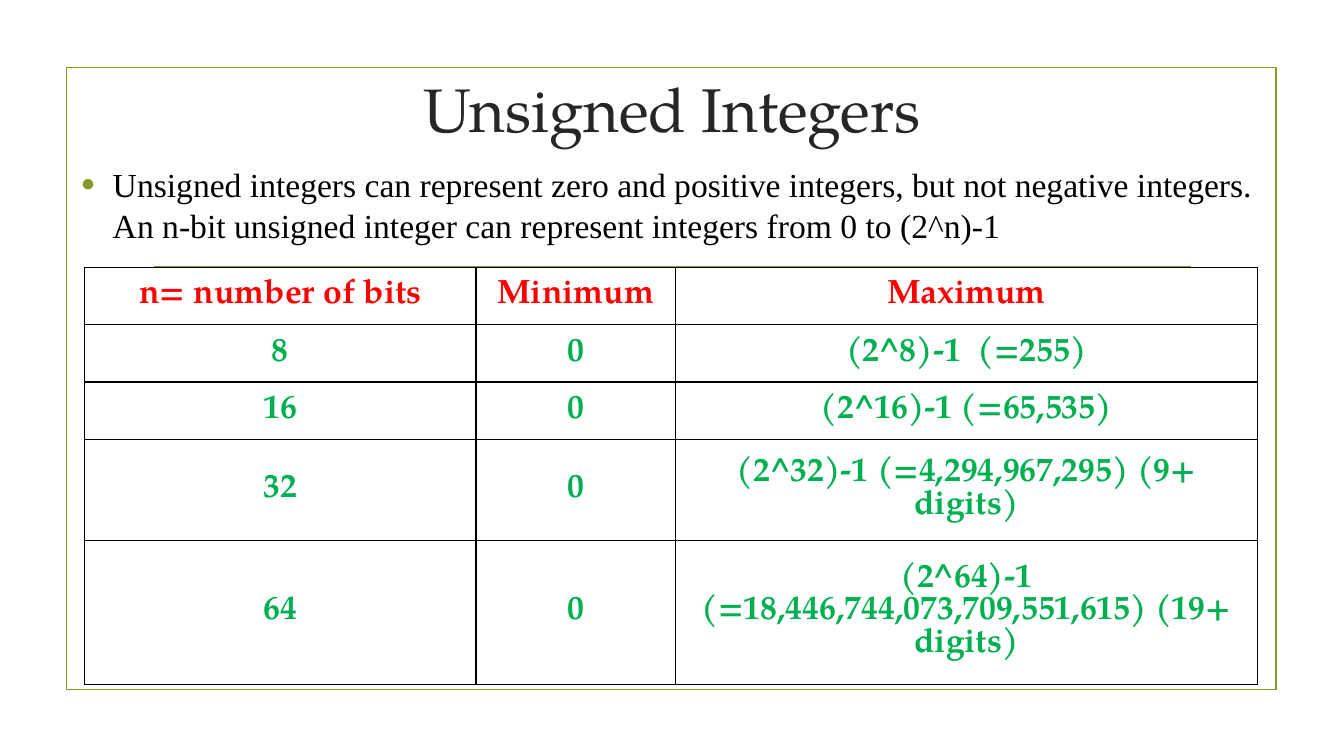
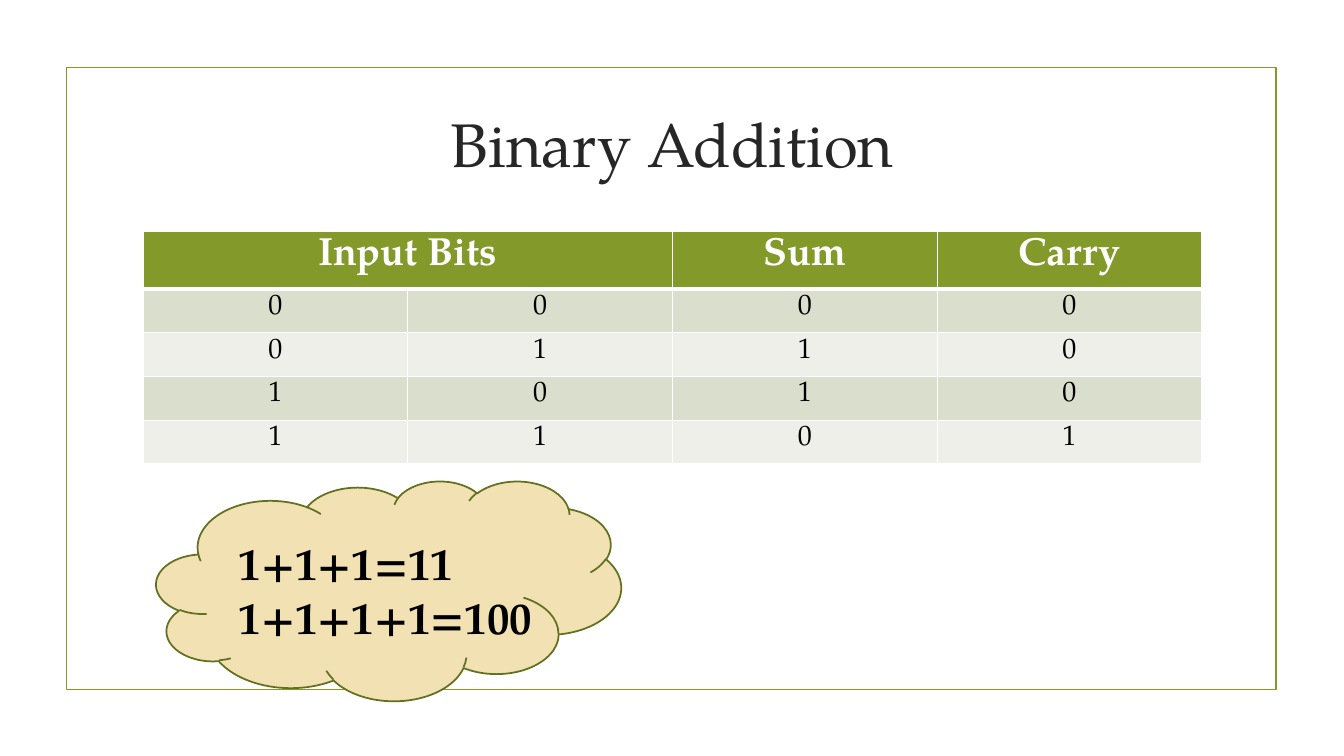
import pptx
import pptx.util
import pptx.dml.color
import pptx.enum.shapes
import pptx.enum.text
import pptx.oxml.ns
import lxml.etree

Inches = pptx.util.Inches
Pt = pptx.util.Pt
ALIGN = pptx.enum.text.PP_ALIGN
ANCHOR = pptx.enum.text.MSO_ANCHOR
SHAPES = pptx.enum.shapes.MSO_SHAPE

COLORS = {
    "accent": "83992A", "title": "262626", "text": "000000", "white": "FFFFFF",
    "heading": "FF0000", "value": "00B050", "band_dark": "D9DECD",
    "band_light": "EDEFE8", "cloud": "F2E1B3", "cloud_line": "61711F",
}
SERIF = "TeX Gyre Pagella"
BODY_FONT = "Times New Roman"

UNSIGNED_TITLE = "Unsigned Integers"
UNSIGNED_TEXT = (
    "Unsigned integers can represent zero and positive integers, but not negative "
    "integers. An n-bit unsigned integer can represent integers from 0 to (2^n)-1"
)
RANGE_ROWS = [
    ("n= number of bits", "Minimum", "Maximum"),
    ("8", "0", "(2^8)-1 \u00a0(=255)"),
    ("16", "0", "(2^16)-1 (=65,535)"),
    ("32", "0", "(2^32)-1 (=4,294,967,295) (9+ digits)"),
    ("64", "0", "(2^64)-1 (=18,446,744,073,709,551,615) (19+ digits)"),
]
RANGE_WIDTHS = [3.88, 1.98, 5.77]
RANGE_HEIGHTS = [0.57, 0.57, 0.57, 1, 1.43]

ADDITION_TITLE = "Binary Addition"
ADDITION_ROWS = [
    ("Input Bits", "", "Sum", "Carry"),
    ("0", "0", "0", "0"),
    ("0", "1", "1", "0"),
    ("1", "0", "1", "0"),
    ("1", "1", "0", "1"),
]
ADDITION_WIDTHS = [10.5 / 4] * 4
ADDITION_HEIGHTS = [0.41] * 5
CLOUD_LINES = ["1+1+1=11", "1+1+1+1=100"]


def rgb(name):
    return pptx.dml.color.RGBColor.from_string(COLORS[name])


def add_run(paragraph, text, size, color, font=SERIF, bold=False):
    run = paragraph.add_run()
    run.text = text
    run.font.size = Pt(size)
    run.font.name = font
    run.font.bold = bold
    run.font.color.rgb = rgb(color)


def add_text_frame(slide, left, top, width, height):
    box = slide.shapes.add_textbox(Inches(left), Inches(top), Inches(width), Inches(height))
    box.text_frame.word_wrap = True
    return box.text_frame


def add_shape(slide, kind, box, line, fill=None):
    shape = slide.shapes.add_shape(kind, *[Inches(length) for length in box])
    shape.shadow.inherit = False
    if fill:
        shape.fill.solid()
        shape.fill.fore_color.rgb = rgb(fill)
    else:
        shape.fill.background()
    shape.line.color.rgb = rgb(line)
    shape.line.width = Pt(1.25)


def add_element(parent, tag, **attributes):
    return lxml.etree.SubElement(parent, pptx.oxml.ns.qn(tag), **attributes)


def add_base_slide(presentation, title, title_top):
    slide = presentation.slides.add_slide(presentation.slide_layouts[6])
    add_shape(slide, SHAPES.RECTANGLE, (0.66, 0.67, 12, 6.17), "accent")
    rule = slide.shapes.add_connector(
        pptx.enum.shapes.MSO_CONNECTOR.STRAIGHT,
        Inches(1.53), Inches(2.65), Inches(11.81), Inches(2.65))
    rule.line.color.rgb = rgb("accent")
    rule.line.width = Pt(1.25)
    add_element(rule._element.spPr, "a:effectLst")
    frame = add_text_frame(slide, 1.42, title_top, 10.5, 1.43)
    frame.vertical_anchor = ANCHOR.MIDDLE
    frame.paragraphs[0].alignment = ALIGN.CENTER
    add_run(frame.paragraphs[0], title, 44, "title")
    return slide


def add_bullet(paragraph):
    properties = paragraph._p.get_or_add_pPr()
    properties.set("marL", str(Inches(0.31)))
    properties.set("indent", str(Inches(-0.31)))
    color = add_element(properties, "a:buClr")
    add_element(color, "a:srgbClr", val=COLORS["accent"])
    add_element(properties, "a:buSzPct", val="115000")
    add_element(properties, "a:buFont", typeface="Arial")
    add_element(properties, "a:buChar", char="\u2022")


def set_borders(cell, color, top=1, bottom=1):
    properties = cell._tc.get_or_add_tcPr()
    sides = (("a:lnL", 1), ("a:lnR", 1), ("a:lnT", top), ("a:lnB", bottom))
    for position, (tag, width) in enumerate(sides):
        border = add_element(properties, tag, w=str(Pt(width)))
        fill = add_element(border, "a:solidFill")
        add_element(fill, "a:srgbClr", val=COLORS[color])
        properties.insert(position, border)


def add_table(slide, left, top, rows, widths, heights):
    table = slide.shapes.add_table(
        len(rows), len(widths), Inches(left), Inches(top),
        Inches(sum(widths)), Inches(sum(heights))).table
    table.first_row = False
    table.horz_banding = False
    for column, width in zip(table.columns, widths):
        column.width = Inches(width)
    for row, height in zip(table.rows, heights):
        row.height = Inches(height)
    return table


def fill_cell(cell, text, size, color, bold):
    paragraph = cell.text_frame.paragraphs[0]
    paragraph.alignment = ALIGN.CENTER
    if text:
        add_run(paragraph, text, size, color, bold=bold)


def build_unsigned(presentation):
    slide = add_base_slide(presentation, UNSIGNED_TITLE, 0.36)
    paragraph = add_text_frame(slide, 0.71, 1.58, 11.92, 3.63).paragraphs[0]
    paragraph.space_before = Pt(4.8)
    paragraph.space_after = Pt(6)
    add_bullet(paragraph)
    add_run(paragraph, UNSIGNED_TEXT, 24, "text", BODY_FONT)
    table = add_table(slide, 0.84, 2.65, RANGE_ROWS, RANGE_WIDTHS, RANGE_HEIGHTS)
    for row_index, values in enumerate(RANGE_ROWS):
        color = "value" if row_index else "heading"
        for column_index, text in enumerate(values):
            cell = table.cell(row_index, column_index)
            cell.vertical_anchor = ANCHOR.MIDDLE
            cell.fill.background()
            fill_cell(cell, text, 24, color, True)
            set_borders(cell, "text")


def build_addition(presentation):
    slide = add_base_slide(presentation, ADDITION_TITLE, 0.7)
    add_shape(slide, SHAPES.CLOUD, (1.55, 4.77, 4.61, 2.18), "cloud_line", "cloud")
    table = add_table(slide, 1.42, 2.3, ADDITION_ROWS, ADDITION_WIDTHS, ADDITION_HEIGHTS)
    for row_index, values in enumerate(ADDITION_ROWS):
        header = row_index == 0
        band = "accent" if header else ("band_light", "band_dark")[row_index % 2]
        size, color = (28, "white") if header else (20, "text")
        for column_index, text in enumerate(values):
            cell = table.cell(row_index, column_index)
            cell.fill.solid()
            cell.fill.fore_color.rgb = rgb(band)
            fill_cell(cell, text, size, color, header)
            set_borders(cell, "white", top=3 if row_index == 1 else 1, bottom=3 if header else 1)
    table.cell(0, 0).merge(table.cell(0, 1))
    frame = add_text_frame(slide, 2.27, 5.27, 5.19, 1.18)
    frame.auto_size = pptx.enum.text.MSO_AUTO_SIZE.SHAPE_TO_FIT_TEXT
    for index, text in enumerate(CLOUD_LINES):
        paragraph = frame.add_paragraph() if index else frame.paragraphs[0]
        add_run(paragraph, text, 32, "text", bold=True)


presentation = pptx.Presentation()
presentation.slide_width = Inches(13.33)
presentation.slide_height = Inches(7.5)
build_unsigned(presentation)
build_addition(presentation)
presentation.save("out.pptx")
